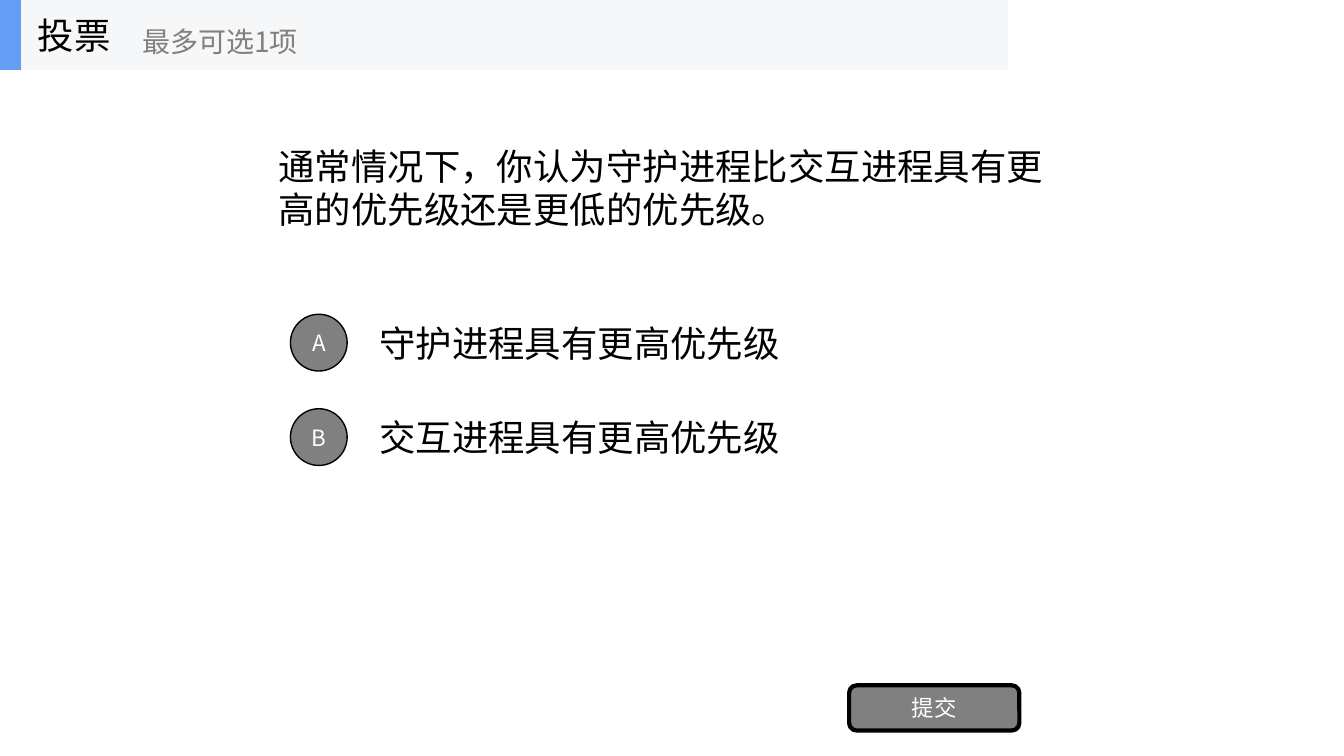
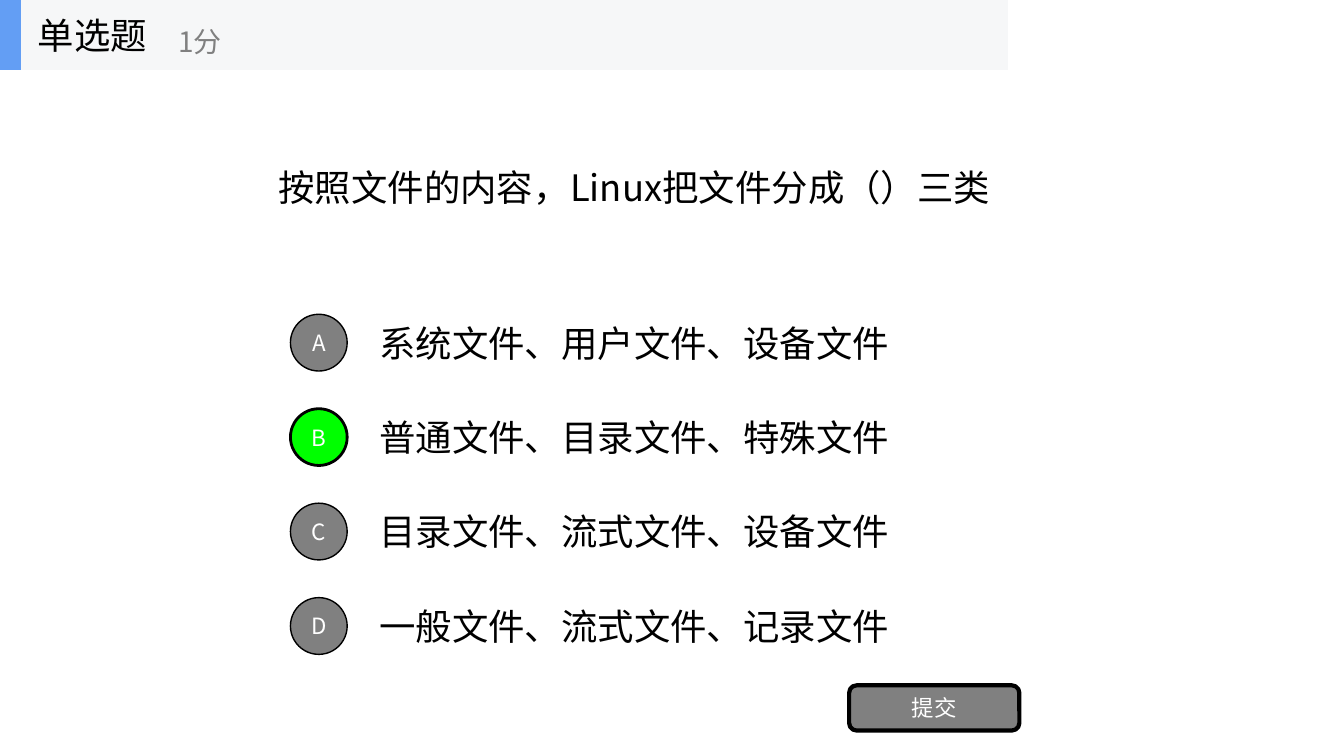
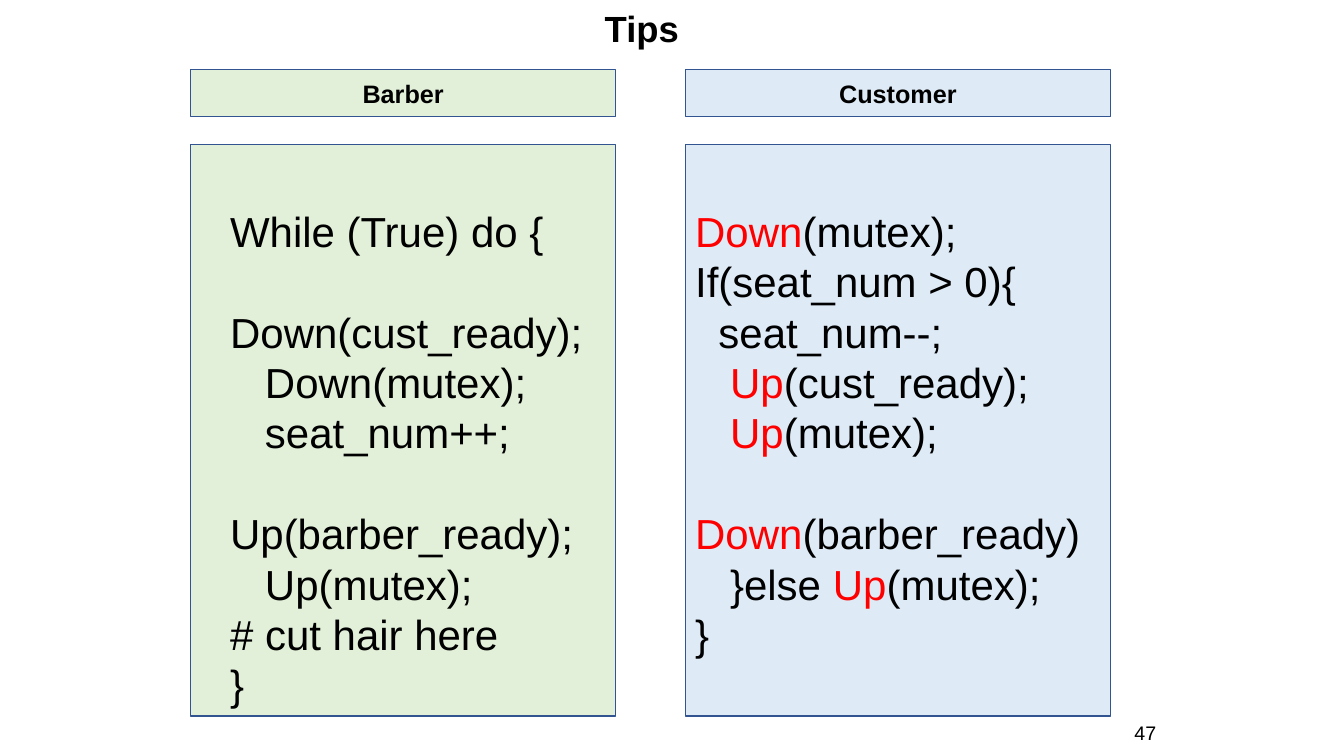
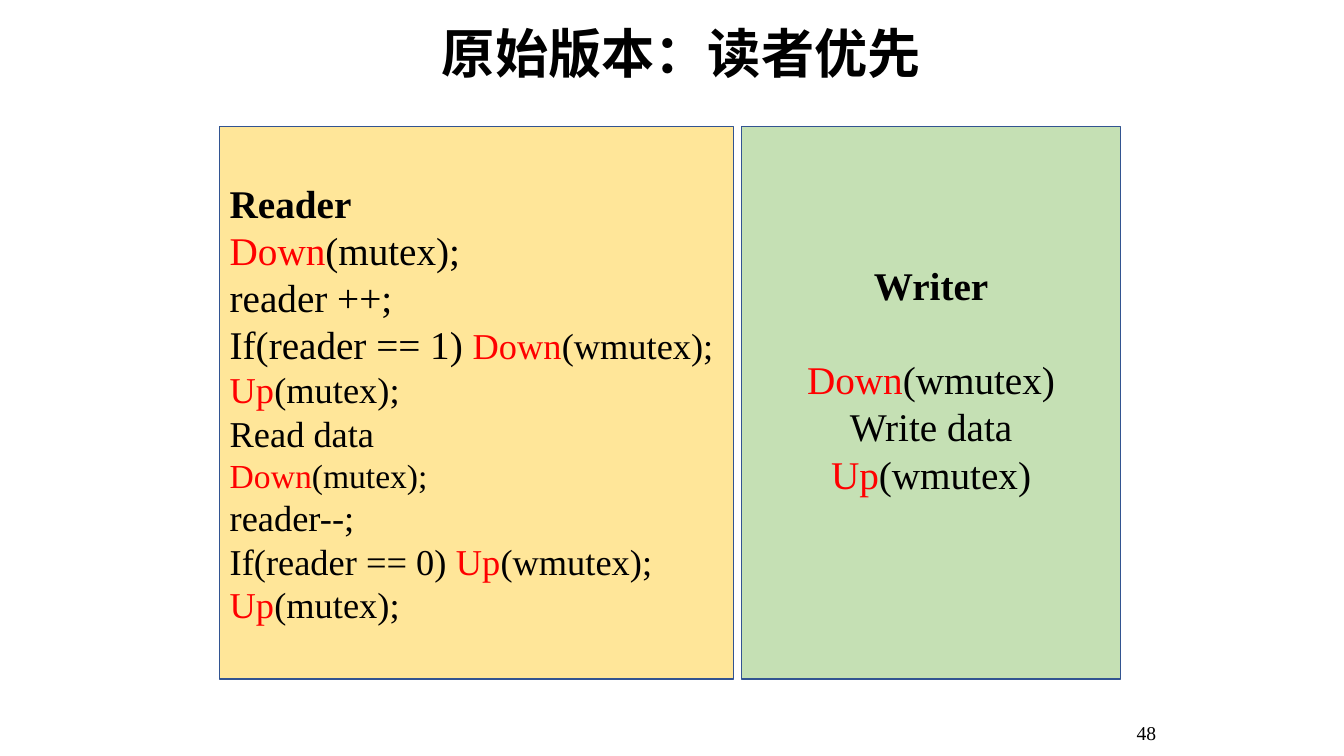
from lxml import etree
from pptx import Presentation
from pptx.dml.color import RGBColor
from pptx.enum.shapes import MSO_SHAPE as SHAPE
from pptx.enum.text import MSO_ANCHOR as ANCHOR, PP_ALIGN as ALIGN
from pptx.oxml.ns import qn
from pptx.util import Cm, Pt

CJK, ARIAL, TIMES = "Noto Sans CJK SC", "Arial", "Times New Roman"
BLACK, WHITE, GREY, RED = "000000", "FFFFFF", "808080", "FF0000"
BAND, ACCENT, CORRECT, BORDER = "F6F7F8", "639EF4", "00FF00", "325491"
color = RGBColor.from_string


def add_box(s, x, y, w, h, kind=None, fill=None, line=None, width=1, anchor=ANCHOR.MIDDLE):
    """Add a shape, or a text box when kind is None, and return its text frame."""
    at = Cm(x), Cm(y), Cm(w), Cm(h)
    if kind is None:
        sp = s.shapes.add_textbox(*at)
    else:
        sp = s.shapes.add_shape(kind, *at)
        sp.shadow.inherit = False
        sp.fill.solid()
        sp.fill.fore_color.rgb = color(fill)
        if line:
            sp.line.color.rgb = color(line)
            sp.line.width = Pt(width)
        else:
            sp.line.fill.background()
    tf = sp.text_frame
    tf.word_wrap = True
    tf.vertical_anchor = anchor
    return tf


def add_line(tf, text, size, font=CJK, ink=BLACK, bold=False, align=ALIGN.LEFT,
             key_ink=None, key_size=None):
    """Add a paragraph; with key_ink, Down or Up in it is coloured.

    key_size applies from that word to the end of the line.
    """
    p = tf.paragraphs[0] if not tf.paragraphs[0].runs else tf.add_paragraph()
    p.alignment = align
    key_size = key_size or size
    parts = [(text, ink, size)]
    if key_ink:
        head, key, tail = text.partition("Down" if "Down" in text else "Up")
        parts = [(head, ink, size), (key, key_ink, key_size), (tail, ink, key_size)]
    for part, part_ink, part_size in parts:
        if part:
            r = p.add_run()
            r.text = part
            r.font.name = font
            r.font.size = Pt(part_size)
            r.font.bold = bold
            r.font.color.rgb = color(part_ink)
            etree.SubElement(r.font._element, qn("a:ea")).set("typeface", font)
    return p


prs = Presentation()
prs.slide_width, prs.slide_height = Cm(33.87), Cm(19.05)
blank = prs.slide_layouts[6]

# Quiz slides: heading, hint, question, options, letter of the marked option
quizzes = [
    ("投票", "最多可选1项",
     "通常情况下，你认为守护进程比交互进程具有更高的优先级还是更低的优先级。",
     ["守护进程具有更高优先级", "交互进程具有更高优先级"], None),
    ("单选题", "1分", "按照文件的内容，Linux把文件分成（）三类",
     ["系统文件、用户文件、设备文件", "普通文件、目录文件、特殊文件",
      "目录文件、流式文件、设备文件", "一般文件、流式文件、记录文件"], "B"),
]
for heading, hint, question, options, marked in quizzes:
    s = prs.slides.add_slide(blank)
    add_line(add_box(s, 6.77, 1.75, 20.32, 5.94), question, 26)
    for i, (letter, option) in enumerate(zip("ABCD", options)):
        y = 7.74 + 2.38 * i
        add_line(add_box(s, 9.31, y, 17.78, 1.78), option, 26)
        fill, width = (CORRECT, 2) if letter == marked else (GREY, 1)
        tf = add_box(s, 7.32, y + 0.18, 1.43, 1.43, SHAPE.OVAL, fill, BLACK, width)
        add_line(tf, letter, 16, ink=WHITE, align=ALIGN.CENTER)
    tf = add_box(s, 21.4, 17.27, 4.29, 1.14, SHAPE.ROUNDED_RECTANGLE, GREY, BLACK, 3)
    add_line(tf, "提交", 16, ink=WHITE, align=ALIGN.CENTER)

    add_box(s, 0, 0, 25.4, 1.76, SHAPE.RECTANGLE, BAND)
    add_box(s, 0, 0, 0.53, 1.76, SHAPE.RECTANGLE, ACCENT)
    add_line(add_box(s, 0.7, 0, 5.28, 1.76), heading, 26)
    hint_x = 1.51 + 0.91 * len(heading)
    add_line(add_box(s, hint_x, 0.32, 6.35, 1.42), hint, 20, ink=GREY)

# Barber and customer
s = prs.slides.add_slide(blank)
tips_slide = s
columns = [
    ("Barber", 4.8, "E2F0D9", 0.75, BLACK,
     ["While (True) do {", "   Down(cust_ready);", "   Down(mutex);", "   seat_num++;",
      "   Up(barber_ready);", "   Up(mutex);", "# cut hair here", "}"]),
    ("Customer", 17.27, "DEEBF7", 0, RED,
     ["Down(mutex);", "If(seat_num > 0){", "  seat_num--;", "   Up(cust_ready);",
      "   Up(mutex);", "   Down(barber_ready)", "   }else Up(mutex);", "}"]),
]
for name, x, fill, indent, key_ink, code in columns:
    tf = add_box(s, x, 1.76, 10.72, 1.17, SHAPE.RECTANGLE, fill, BORDER)
    add_line(tf, name, 18, ARIAL, bold=True, align=ALIGN.CENTER)
    add_box(s, x, 3.64, 10.72, 14.4, SHAPE.RECTANGLE, fill, BORDER)
    tf = add_box(s, x + indent, 5.05, 10.72 - indent, 10.52, anchor=ANCHOR.TOP)
    for text in code:
        add_line(tf, text, 30, ARIAL, key_ink=key_ink)
tf = add_box(s, 14.99, 0.03, 7.65, 1.37, anchor=ANCHOR.TOP)
add_line(tf, "Tips", 26, ARIAL, bold=True)

# Reader and writer
s = prs.slides.add_slide(blank)
tf = add_box(s, 6.38, 0.58, 21.59, 2.18, anchor=ANCHOR.TOP)
p = add_line(tf, "原始版本：读者优先", 38, bold=True, align=ALIGN.CENTER)
p.line_spacing = 0.9

tf = add_box(s, 18.69, 3.19, 9.55, 13.92, SHAPE.RECTANGLE, "C5E0B4", BORDER)
tf.margin_bottom = Cm(1.31)
add_line(tf, "Writer", 28, TIMES, bold=True, align=ALIGN.CENTER)
for text in ["Down(wmutex)", "Write data", "Up(wmutex)"]:
    add_line(tf, text, 28, TIMES, align=ALIGN.CENTER, key_ink=RED)
tf.paragraphs[1].space_before = Pt(33.6)

tf = add_box(s, 5.54, 3.19, 12.95, 13.92, SHAPE.RECTANGLE, "FFE699", BORDER)
add_line(tf, "Reader", 28, TIMES, bold=True)
reader_code = [
    ("Down(mutex);", 28, 28), ("reader ++;", 28, 28),
    ("If(reader == 1) Down(wmutex);", 28, 26), ("Up(mutex);", 26, 26),
    ("Read data", 26, 26), ("Down(mutex);", 24, 24), ("reader--;", 26, 26),
    ("If(reader == 0) Up(wmutex);", 26, 26), ("Up(mutex);", 26, 26),
]
for text, size, key_size in reader_code:
    add_line(tf, text, size, TIMES, key_ink=RED, key_size=key_size)

# Page numbers
for page, number, font in [(tips_slide, "47", ARIAL), (s, "48", TIMES)]:
    tf = add_box(page, 28.02, 18.03, 1.37, 1.02, anchor=ANCHOR.TOP)
    add_line(tf, number, 14, font, align=ALIGN.RIGHT)

prs.save("out.pptx")
